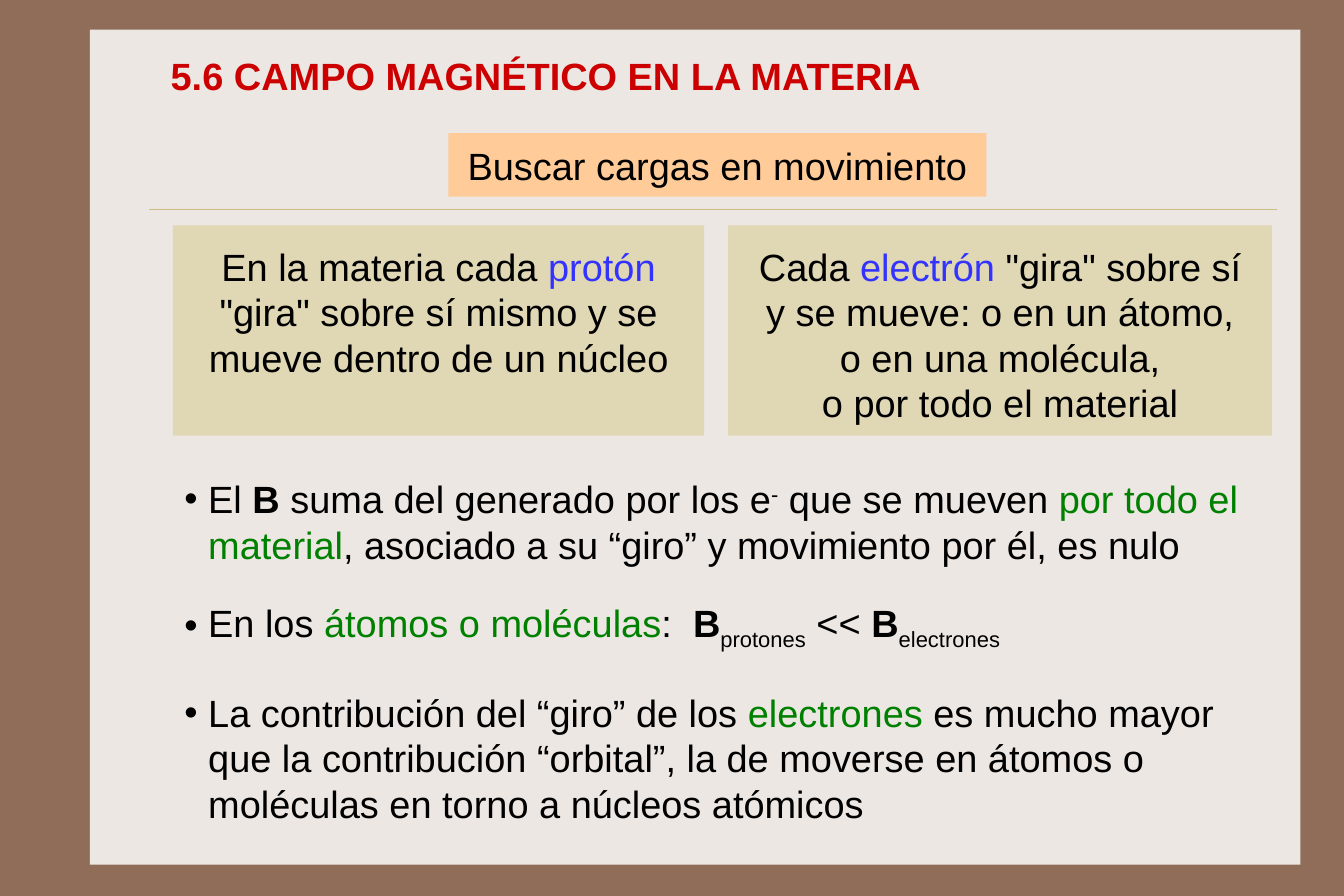
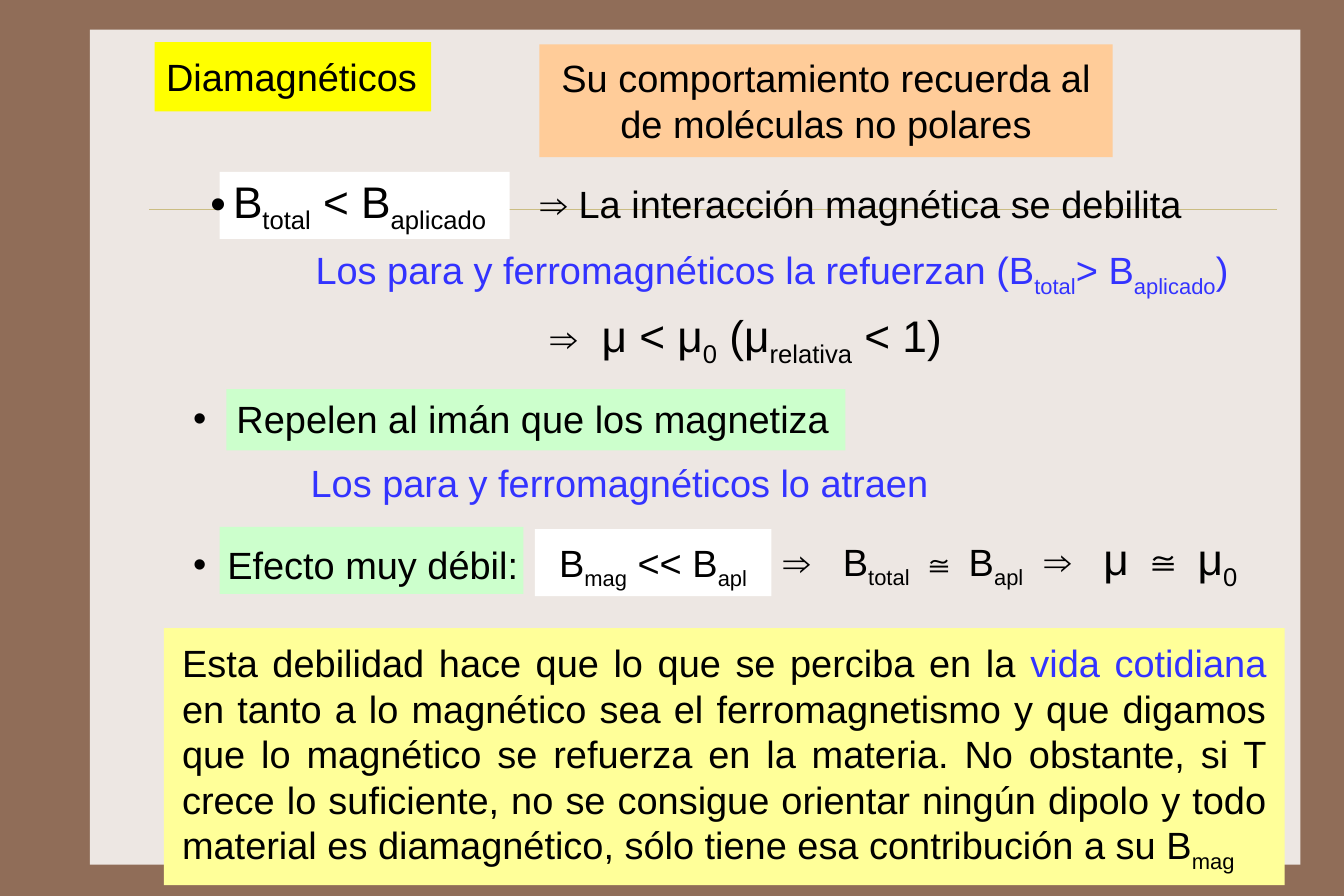
from pptx import Presentation
from pptx.dml.color import RGBColor
from pptx.enum import shapes, text
from pptx.oxml import ns, xmlchemy
from pptx.util import Inches, Pt

FONT = "Arial"
BODY_SIZE = 24
FORMULA_SIZE = 28
BROWN = RGBColor(0x90, 0x6D, 0x58)
PANEL = RGBColor(0xED, 0xE7, 0xE3)
RULE = RGBColor(0xCB, 0xBD, 0x83)
SAND = RGBColor(0xE0, 0xD7, 0xB5)
PEACH = RGBColor(0xFF, 0xCC, 0x99)
MINT = RGBColor(0xCC, 0xFF, 0xCC)
WHITE = RGBColor(0xFF, 0xFF, 0xFF)
YELLOW = RGBColor(0xFF, 0xFF, 0x00)
PALE_YELLOW = RGBColor(0xFF, 0xFF, 0x99)
BLACK = RGBColor(0, 0, 0)
RED = RGBColor(0xCC, 0, 0)
BLUE = RGBColor(0x33, 0x33, 0xFF)
GREEN = RGBColor(0, 0x80, 0)

LEFT = text.PP_ALIGN.LEFT
CENTER = text.PP_ALIGN.CENTER
JUSTIFY = text.PP_ALIGN.JUSTIFY
TOP = text.MSO_ANCHOR.TOP
MIDDLE = text.MSO_ANCHOR.MIDDLE


def sub(words):
    return words, {"baseline": -25}


def tinted(words, color):
    return words, {"color": color}


def bold(words):
    return words, {"bold": True}


def add_child(parent, tag, **attributes):
    child = xmlchemy.OxmlElement(tag)
    for name, value in attributes.items():
        child.set(name, str(value))
    parent.append(child)
    return child


def add_span(para, words, size=BODY_SIZE, color=BLACK, bold=False, baseline=0):
    span = para.add_run()
    span.text = words
    span.font.name = FONT
    span.font.size = Pt(size)
    span.font.bold = bold
    span.font.color.rgb = color
    if baseline:
        span.font._element.set("baseline", str(baseline * 1000))


def format_para(para, align=LEFT, bullet=None, tab=None, before=0):
    props = para._p.get_or_add_pPr()
    if bullet:
        props.set("marL", str(Inches(bullet)))
        props.set("indent", str(-Inches(bullet)))
        add_child(props, "a:buFont", typeface=FONT)
        add_child(props, "a:buChar", char="•")
    if tab:
        stops = add_child(props, "a:tabLst")
        add_child(stops, "a:tab", pos=Inches(tab), algn="l")
    para.alignment = align
    para.space_before = Pt(before)


def write_text(shape, paras, size=BODY_SIZE, color=BLACK, bold=False, align=LEFT,
               anchor=TOP, inset=(0.1, 0.09), bullet=None, tab=None, gaps=()):
    frame = shape.text_frame
    frame.word_wrap = True
    frame.auto_size = text.MSO_AUTO_SIZE.NONE
    frame.vertical_anchor = anchor
    frame.margin_left = frame.margin_right = Inches(inset[0])
    frame.margin_top = frame.margin_bottom = Inches(inset[1])
    for index, spans in enumerate(paras):
        para = frame.add_paragraph() if index else frame.paragraphs[0]
        before = gaps[index - 1] if index and gaps else 0
        format_para(para, align, bullet, tab, before)
        for span in spans:
            words, changes = (span, {}) if isinstance(span, str) else span
            add_span(para, words, **{"size": size, "color": color, "bold": bold, **changes})


def place(shape, box):
    shape.left, shape.top, shape.width, shape.height = map(Inches, box)


def shift(box, left, top, width, height):
    return box[0] + left, box[1] + top, width, height


def add_block(page, box, fill):
    block = page.shapes.add_shape(shapes.MSO_SHAPE.RECTANGLE, *map(Inches, box))
    block.shadow.inherit = False
    block.fill.solid()
    block.fill.fore_color.rgb = fill
    block.line.fill.background()
    return block


def add_text(page, box, *spans, fill=None, **style):
    if fill is None:
        shape = page.shapes.add_textbox(*map(Inches, box))
    else:
        shape = add_block(page, box, fill)
    write_text(shape, [spans], **style)


def set_title(page, box, words, fill=None, **style):
    title = page.shapes.title
    place(title, box)
    if fill is not None:
        title.fill.solid()
        title.fill.fore_color.rgb = fill
    write_text(title, [[words]], anchor=MIDDLE, **style)


def decorate_master(deck, page):
    master = deck.slide_master
    master.background.fill.solid()
    master.background.fill.fore_color.rgb = BROWN
    panel = add_block(page, (0.79, 0.26, 10.64, 7.34), PANEL)
    rule = page.shapes.add_connector(
        shapes.MSO_CONNECTOR.STRAIGHT,
        Inches(1.31), Inches(1.84), Inches(11.22), Inches(1.84))
    rule.line.color.rgb = RULE
    rule.line.width = Pt(0.25)
    add_child(rule._element.find(ns.qn("p:spPr")), "a:effectLst")
    for index, shape in enumerate((panel, rule)):
        shape._element.xpath("./*/p:cNvPr")[0].set("id", str(100 + index))
        master.shapes.element.insert(2 + index, shape._element)


def add_charge_cards(page, box):
    left, top, width, height = box
    first_width, gap = 4.67, 0.21
    second_left = first_width + gap
    proton = [["En la materia cada ", tinted("protón", BLUE),
               " \"gira\" sobre sí mismo y se mueve dentro de un núcleo"]]
    electron = [["Cada ", tinted("electrón", BLUE), " \"gira\" sobre sí"],
                ["y se mueve: o en un átomo,"],
                ["o en una molécula,"],
                ["o por todo el material"]]
    cards = ((0, first_width, proton), (second_left, width - second_left, electron))
    for offset, card_width, paras in cards:
        card = add_block(page, (left + offset, top, card_width, height), SAND)
        write_text(card, paras, align=CENTER, inset=(0.12, 0.16))


def add_conclusions(page, box):
    body = page.placeholders[1]
    place(body, box)
    write_text(body, [
        ["El ", bold("B"), " suma del generado por los e", ("-", {"baseline": 30}),
         " que se mueven ", tinted("por todo el material", GREEN),
         ", asociado a su “giro” y movimiento por él, es nulo"],
        ["En los ", tinted("átomos o moléculas", GREEN), ":  ", bold("B"),
         sub("protones"), " << ", bold("B"), sub("electrones")],
        ["La contribución del “giro” de los ", tinted("electrones", GREEN),
         " es mucho mayor que la contribución “orbital”, la de moverse en átomos o"
         " moléculas en torno a núcleos atómicos"],
    ], bullet=0.21, gaps=(21, 24))


def build_matter(page):
    set_title(page, (1.39, 0.41, 7.13, 0.51), "5.6 CAMPO MAGNÉTICO EN LA MATERIA",
              color=RED, bold=True, inset=(0.11, 0.05))
    add_charge_cards(page, (1.52, 1.98, 9.66, 1.85))
    add_text(page, (3.94, 1.17, 4.73, 0.56), "Buscar cargas en movimiento",
             fill=PEACH, align=CENTER, anchor=MIDDLE, inset=(0.12, 0.08))
    add_conclusions(page, (1.52, 4.09, 9.83, 3.27))


def add_weakening(page, box):
    add_block(page, shift(box, 0.18, 0.07, 2.55, 0.59), WHITE)
    formula = {"size": FORMULA_SIZE}
    small = {"size": FORMULA_SIZE, "baseline": -25}
    add_text(page, shift(box, 0, 0, 3, 0.65), ("B", formula), ("total", small),
             (" < B", formula), ("aplicado", small), bullet=0.2)
    add_text(page, shift(box, 2.6, 0.06, 6.44, 0.59),
             "⇒ La interacción magnética se debilita", align=CENTER, inset=(0.06, 0.09))
    add_text(page, shift(box, 0.74, 0.64, 8.59, 0.59),
             "Los para y ferromagnéticos la refuerzan (B", sub("total"), "> B",
             sub("aplicado"), ")", color=BLUE, align=CENTER, inset=(0.06, 0.09))
    add_text(page, shift(box, 2.99, 1.18, 4.1, 0.65), "⇒", ("\tμ < μ", formula),
             ("0", small), (" (μ", formula), ("relativa", small), (" < 1)", formula),
             tab=0.45)


def add_repulsion(page, box):
    add_block(page, shift(box, 0.39, 0.03, 5.44, 0.54), MINT)
    add_text(page, shift(box, 0, 0, 6.2, 0.59), "Repelen al imán que los magnetiza",
             bullet=0.38)
    add_text(page, shift(box, 0.58, 0.56, 6.53, 0.59),
             "Los para y ferromagnéticos lo atraen", color=BLUE, align=CENTER,
             inset=(0.06, 0.09))


def add_weak_effect(page, box):
    add_block(page, shift(box, 0.33, 0, 2.67, 0.59), MINT)
    add_text(page, shift(box, 0, 0.04, 3.2, 0.59), "Efecto muy débil:", bullet=0.3)
    add_text(page, shift(box, 3.1, 0.02, 2.08, 0.59), "B", sub("mag"), " << B",
             sub("apl"), fill=WHITE, align=CENTER)
    add_text(page, shift(box, 5.19, 0.01, 2.6, 0.59), "⇒\tB", sub("total"), " ≅ B",
             sub("apl"), tab=0.52)
    add_text(page, shift(box, 7.48, -0.05, 2.2, 0.65), "⇒",
             ("\tμ ≅ μ", {"size": FORMULA_SIZE}),
             ("0", {"size": FORMULA_SIZE, "baseline": -25}), tab=0.52)


def build_diamagnetic(page):
    set_title(page, (1.36, 0.37, 2.43, 0.61), "Diamagnéticos", fill=YELLOW,
              inset=(0.1, 0.05))
    add_text(page, (4.74, 0.39, 5.04, 0.99),
             "Su comportamiento recuerda al de moléculas no polares",
             fill=PEACH, align=CENTER)
    add_weakening(page, (1.75, 1.44, 9.35, 1.83))
    add_repulsion(page, (1.6, 3.39, 7.11, 1.15))
    add_weak_effect(page, (1.6, 4.63, 9.66, 0.63))
    add_text(page, (1.44, 5.52, 9.85, 2.26),
             "Esta debilidad hace que lo que se perciba en la ",
             tinted("vida cotidiana ", BLUE),
             "en tanto a lo magnético sea el ferromagnetismo y que digamos que lo"
             " magnético se refuerza en la materia. No obstante, si T crece lo suficiente,"
             " no se consigue orientar ningún dipolo y todo material es diamagnético,"
             " sólo tiene esa contribución a su B",
             sub("mag"), fill=PALE_YELLOW, align=JUSTIFY, anchor=MIDDLE, inset=(0.16, 0.12))


def main():
    deck = Presentation()
    deck.slide_width = Pt(850.5)
    deck.slide_height = Pt(567)
    matter = deck.slides.add_slide(deck.slide_layouts.get_by_name("Title and Content"))
    diamagnetic = deck.slides.add_slide(deck.slide_layouts.get_by_name("Title Only"))
    decorate_master(deck, matter)
    build_matter(matter)
    build_diamagnetic(diamagnetic)
    deck.save("out.pptx")


if __name__ == "__main__":
    main()
